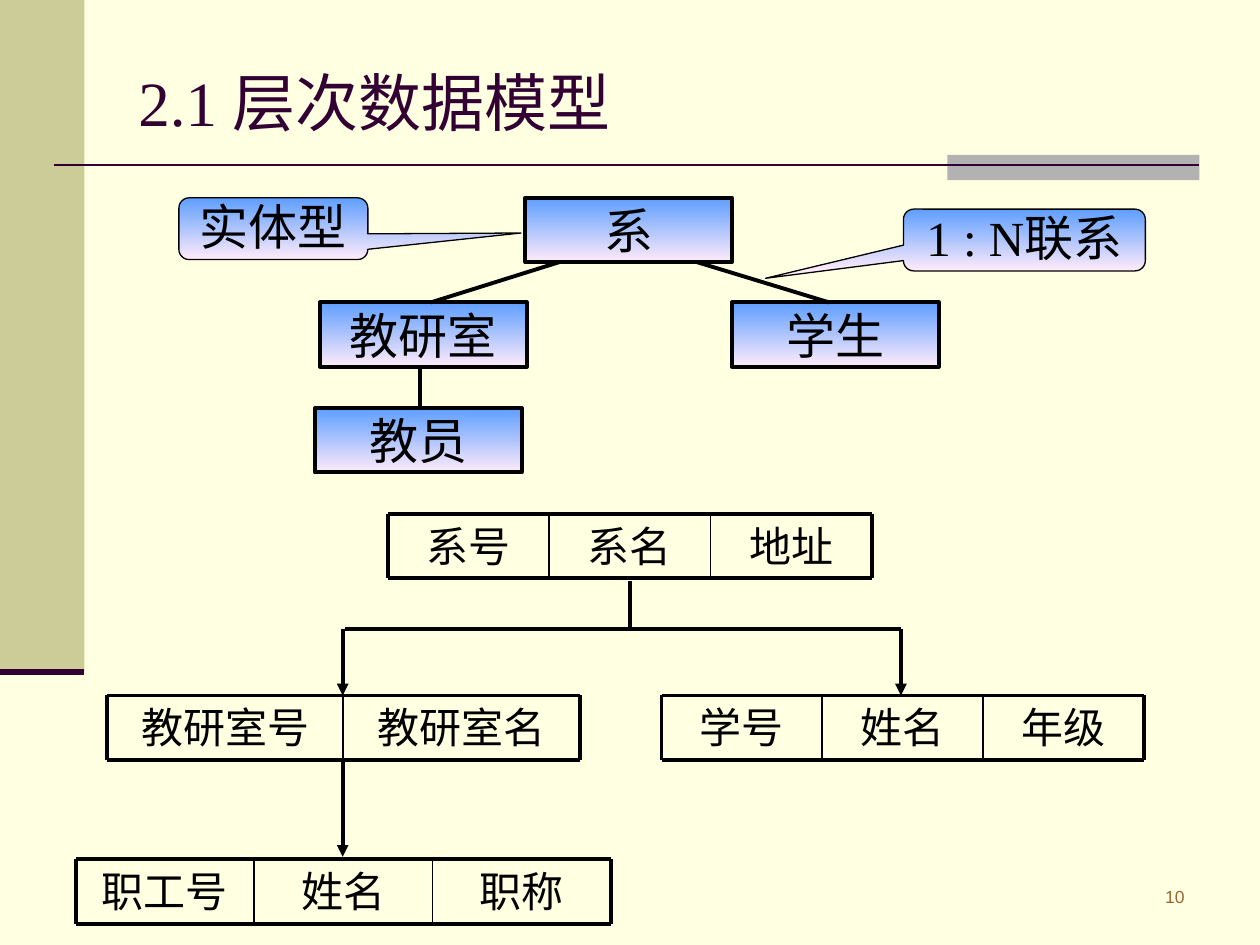
from pptx import Presentation
from pptx.dml.color import RGBColor
from pptx.enum.shapes import MSO_CONNECTOR, MSO_SHAPE
from pptx.enum.text import MSO_ANCHOR, PP_ALIGN
from pptx.oxml.ns import qn
from pptx.util import Emu, Pt
from lxml.etree import SubElement

PX = 9144  # EMU per px, 100 px to the inch

CREAM = RGBColor(0xFF, 0xFF, 0xE1)
KHAKI = RGBColor(0xCC, 0xCC, 0x99)
GRAY = RGBColor(0xB2, 0xB2, 0xB2)
PLUM = RGBColor(0x33, 0x00, 0x33)
BROWN = RGBColor(0x99, 0x66, 0x33)
BLACK = RGBColor(0x00, 0x00, 0x00)
SKY = RGBColor(0x5E, 0x9E, 0xFF)
BLUSH = RGBColor(0xFF, 0xEB, 0xFA)

SANS, SERIF, CJK = "Arial", "Times New Roman", "Noto Sans CJK SC"
THICK, THIN = 2.25, 1
NODE_W, ROW_H = 164, 51


def emu(*lengths):
    return [Emu(round(length * PX)) for length in lengths]


class SlideBuilder:
    def __init__(self, slide):
        self.slide = slide
        slide.background.fill.solid()
        slide.background.fill.fore_color.rgb = CREAM

    def fill_frame(self, frame, words, size, font, color=BLACK, align=PP_ALIGN.CENTER,
                   anchor=MSO_ANCHOR.TOP, insets=(10, 5, 10, 5)):
        """Put words in a text frame; insets run left, top, right, bottom."""
        frame.word_wrap = True
        frame.vertical_anchor = anchor
        (frame.margin_left, frame.margin_top,
         frame.margin_right, frame.margin_bottom) = emu(*insets)
        paragraph = frame.paragraphs[0]
        paragraph.alignment = align
        run = paragraph.add_run()
        run.text = words
        run.font.size = Pt(size)
        run.font.name = font
        run.font.color.rgb = color
        SubElement(run.font._element, qn("a:ea")).set("typeface", CJK)

    def text(self, box, words, size, font, **style):
        frame = self.slide.shapes.add_textbox(*emu(*box)).text_frame
        self.fill_frame(frame, words, size, font, **style)

    def shape(self, kind, box):
        shape = self.slide.shapes.add_shape(kind, *emu(*box))
        shape.shadow.inherit = False
        return shape

    def band(self, box, color):
        band = self.shape(MSO_SHAPE.RECTANGLE, box)
        band.fill.solid()
        band.fill.fore_color.rgb = color
        band.line.fill.background()

    def line(self, x1, y1, x2, y2, width=THICK, color=BLACK, arrow=False):
        line = self.slide.shapes.add_connector(
            MSO_CONNECTOR.STRAIGHT, *emu(x1, y1, x2, y2))
        line.line.width = Pt(width)
        line.line.color.rgb = color
        properties = line._element.spPr
        if arrow:
            SubElement(properties.find(qn("a:ln")), qn("a:tailEnd")).set("type", "triangle")
        SubElement(properties, qn("a:effectLst"))

    def gradient_label(self, shape, words, font, border, insets):
        shape.fill.gradient()
        shape.fill.gradient_angle = 270
        for stop, color in zip(shape.fill.gradient_stops, (SKY, BLUSH)):
            stop.color.rgb = color
        shape.line.color.rgb = BLACK
        shape.line.width = Pt(border)
        self.fill_frame(shape.text_frame, words, 28, font,
                        anchor=MSO_ANCHOR.MIDDLE, insets=insets)

    def node(self, x, y, words):
        box = self.shape(MSO_SHAPE.RECTANGLE, (x, y, NODE_W, ROW_H))
        self.gradient_label(box, words, CJK, THICK, (0, 0, 0, 0))

    def callout(self, box, words, tip):
        """tip is the pointer's end, as shares of the size from the centre."""
        callout = self.shape(MSO_SHAPE.ROUNDED_RECTANGULAR_CALLOUT, box)
        callout.adjustments[0], callout.adjustments[1] = tip
        self.gradient_label(callout, words, SERIF, 0.75, (0, 0, 0, 5))

    def record(self, left, right, top, fields):
        """One row of equal cells with a thick frame and thin dividers."""
        cell_w = (right - left) / len(fields)
        bottom = top + ROW_H
        for i, field in enumerate(fields):
            x = left + i * cell_w
            self.text((x, top, cell_w, ROW_H), field, 24, SANS)
            if i:
                self.line(x, top, x, bottom, THIN)
        for y in (top, bottom):
            self.line(left, y, right, y)
        for x in (left, right):
            self.line(x, top, x, bottom)


def main():
    deck = Presentation()
    deck.slide_width, deck.slide_height = emu(1000, 750)
    page = SlideBuilder(deck.slides.add_slide(deck.slide_layouts[6]))

    page.band((0, 0, 67, 533), KHAKI)
    page.band((752, 123, 200, 20), GRAY)
    page.line(43, 131, 952, 131, 1.5, PLUM)
    page.line(0, 533, 67, 533, 3.5, PLUM)
    page.text((823, 698, 127, 35), "10", 10, SANS, color=BROWN, align=PP_ALIGN.RIGHT)
    page.text((100, 30, 850, 101), "2.1 层次数据模型", 36, SERIF, color=PLUM,
              align=PP_ALIGN.LEFT, anchor=MSO_ANCHOR.MIDDLE)

    # Record types and the links between them
    for left, right, top, fields in (
        (308, 692, 408, ("系号", "系名", "地址")),
        (85, 460, 552, ("教研室号", "教研室名")),
        (525, 908, 552, ("学号", "姓名", "年级")),
        (60, 485, 682, ("职工号", "姓名", "职称")),
    ):
        page.record(left, right, top, fields)
    for x, start, end in ((272, 499, 552), (715, 499, 552), (272, 605, 680)):
        page.line(x, start, x, end, arrow=True)
    page.line(274, 499, 715, 499)
    page.line(500, 461, 500, 499)

    # Entity tree
    for x, y, entity in ((417, 157, "系"), (254, 240, "教研室"),
                         (581, 240, "学生"), (250, 324, "教员")):
        page.node(x, y, entity)
    for ends in ((444, 208, 342, 240), (553, 208, 658, 240), (333, 290, 333, 325)):
        page.line(*ends)
    page.callout((717, 166, 192, 49), "1 : N联系", (-1.07, 0.62))
    page.callout((142, 157, 150, 49), "实体型", (1.31, 0.07))

    deck.save("out.pptx")


if __name__ == "__main__":
    main()
